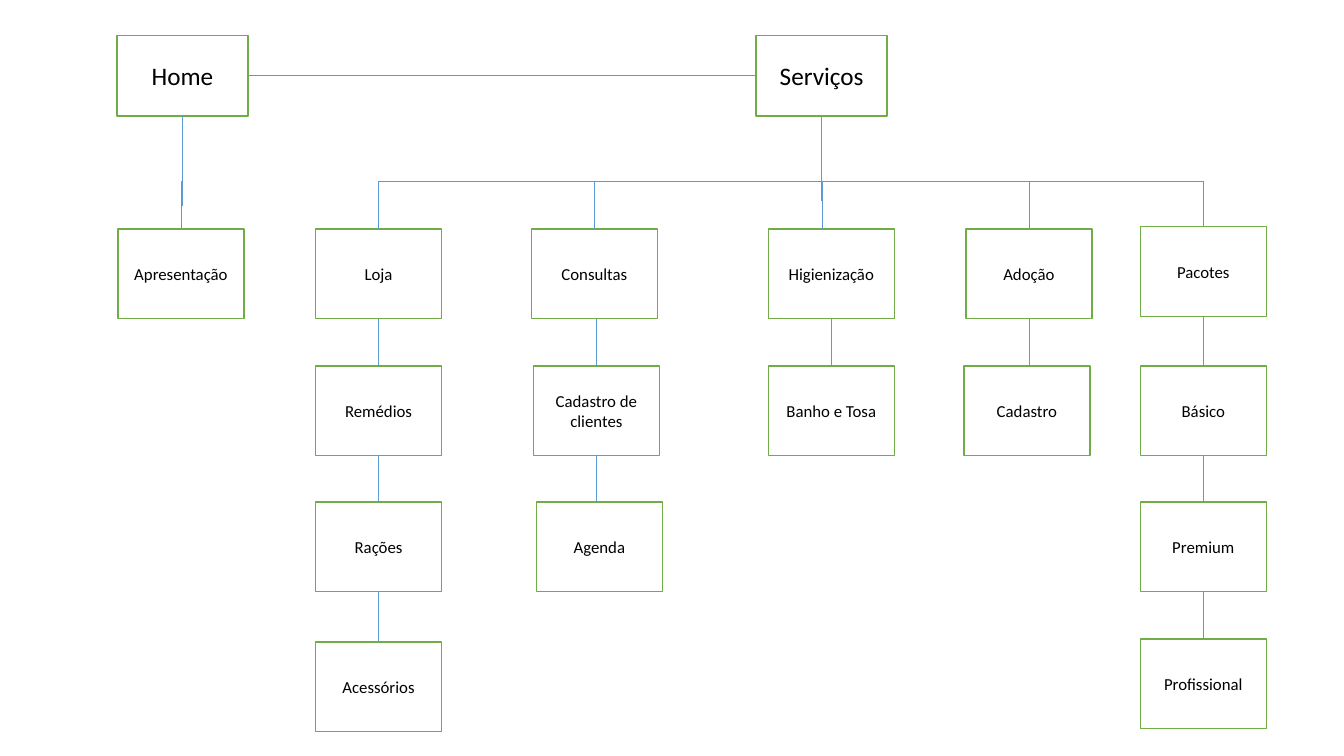
from lxml import etree
from pptx import Presentation, util as u
from pptx.dml.color import RGBColor
from pptx.enum import shapes, text
from pptx.oxml import ns

COLORS = {"box": "FFFFFF", "border": "70AD47", "link": "5B9BD5", "text": "000000"}
BOTTOM, TOP, LEFT, RIGHT = 2, 0, 1, 3
BOX_WIDTH, BOX_HEIGHT = 1.25, 0.89
ROW_TOPS = [2.27, 3.63, 4.98, 6.34]
BAR_Y = 1.8

presentation = Presentation()
presentation.slide_width = u.Inches(13.33)
presentation.slide_height = u.Inches(7.5)
slide = presentation.slides.add_slide(presentation.slide_layouts[6])


def add_box(label, left, top, width=BOX_WIDTH, height=BOX_HEIGHT, size=12):
    shape = slide.shapes.add_shape(
        shapes.MSO_SHAPE.RECTANGLE, *[u.Inches(v) for v in (left, top, width, height)])
    shape.shadow.inherit = False
    shape.fill.solid()
    shape.fill.fore_color.rgb = RGBColor.from_string(COLORS["box"])
    shape.line.color.rgb = RGBColor.from_string(COLORS["border"])
    shape.line.width = u.Pt(1)
    frame = shape.text_frame
    frame.text = label
    frame.word_wrap = True
    frame.vertical_anchor = text.MSO_ANCHOR.MIDDLE
    font_format = {"size": u.Pt(size), "name": "Calibri"}
    for paragraph in frame.paragraphs:
        paragraph.alignment = text.PP_ALIGN.CENTER
        for name, value in font_format.items():
            setattr(paragraph.font, name, value)
        paragraph.font.color.rgb = RGBColor.from_string(COLORS["text"])
    return shape


def add_link(x1, y1, x2, y2, begin=None, end=None):
    connector = slide.shapes.add_connector(
        shapes.MSO_CONNECTOR.STRAIGHT, *[u.Inches(v) for v in (x1, y1, x2, y2)])
    connector.line.color.rgb = RGBColor.from_string(COLORS["link"])
    connector.line.width = u.Pt(0.5)
    properties = connector._element.find(ns.qn("p:spPr"))
    etree.SubElement(properties, ns.qn("a:effectLst"))
    if begin:
        connector.begin_connect(*begin)
    if end:
        connector.end_connect(*end)


# Main pages
home = add_box("Home", 1.16, 0.35, 1.3, 0.8, 18)
services = add_box("Serviços", 7.5, 0.35, 1.3, 0.8, 18)
add_link(2.46, 0.75, 7.5, 0.75, (home, RIGHT), (services, LEFT))
add_link(1.81, 1.15, 1.81, 2.04, (home, BOTTOM))
add_link(8.15, 1.15, 8.15, 1.99, (services, BOTTOM))

# Horizontal bar over the services
add_link(6.69, BAR_Y, 3.76, BAR_Y)
add_link(6.65, BAR_Y, 11.94, BAR_Y)

# Columns: (row whose centre guides the links, [(label, left), ...])
columns = [
    (0, [("Apresentação", 1.17)]),
    (0, [("Loja", 3.13), ("Remédios", 3.13), ("Rações", 3.13), ("Acessórios", 3.13)]),
    (1, [("Consultas", 5.27), ("Cadastro de\nclientes", 5.29), ("Agenda", 5.32)]),
    (0, [("Higienização", 7.62), ("Banho e Tosa", 7.62)]),
    (0, [("Adoção", 9.58), ("Cadastro", 9.56)]),
    (0, [("Pacotes", 11.31), ("Básico", 11.31), ("Premium", 11.31), ("Profissional", 11.31)]),
]
shifted_tops = {"Pacotes": 2.25, "Acessórios": 6.37}
shifted_stubs = {"Higienização": 8.16}

for guide_row, entries in columns:
    boxes = [add_box(label, left, shifted_tops.get(label, top))
             for (label, left), top in zip(entries, ROW_TOPS)]

    # Stub from the bar down to the first box
    first_label, first_left = entries[0]
    if first_label in shifted_stubs:
        stub_x = shifted_stubs[first_label]
        add_link(stub_x, BAR_Y, stub_x, ROW_TOPS[0])
    else:
        stub_x = first_left + BOX_WIDTH / 2
        add_link(stub_x, BAR_Y, stub_x, ROW_TOPS[0], end=(boxes[0], TOP))

    # Links between rows, joined to every box centred on the guide
    guide_left = entries[guide_row][1]
    link_x = guide_left + BOX_WIDTH / 2
    for row in range(len(boxes) - 1):
        begin = (boxes[row], BOTTOM) if entries[row][1] == guide_left else None
        end = (boxes[row + 1], TOP) if entries[row + 1][1] == guide_left else None
        add_link(link_x, ROW_TOPS[row] + BOX_HEIGHT, link_x, ROW_TOPS[row + 1], begin, end)

presentation.save("out.pptx")
